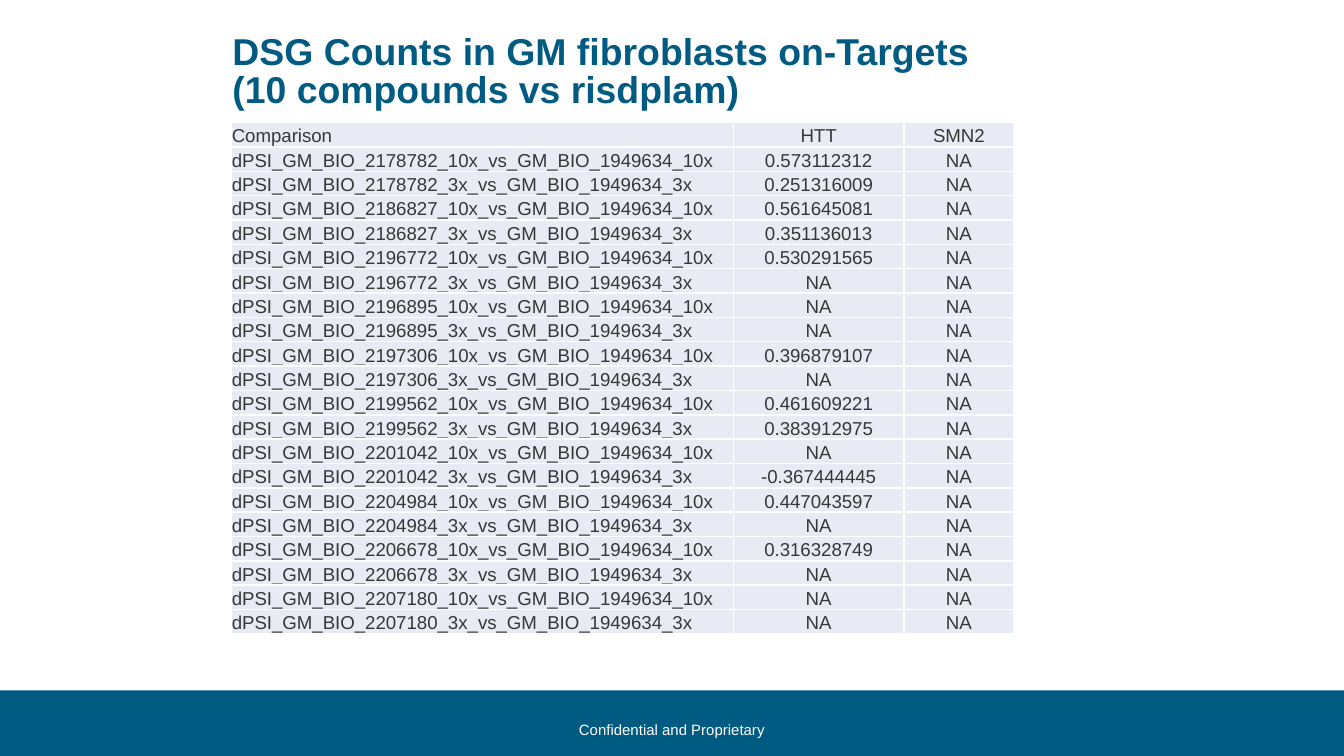
import dataclasses

import pptx
import pptx.dml.color
import pptx.enum.shapes
import pptx.enum.text
import pptx.oxml
import pptx.oxml.ns
import pptx.util

PX = 5715  # EMU per px, 160 px to the inch
ALIGN = pptx.enum.text.PP_ALIGN
ANCHOR = pptx.enum.text.MSO_ANCHOR


@dataclasses.dataclass(frozen=True)
class Theme:
    font: str = "Arial"
    blue: str = "005B82"
    white: str = "FFFFFF"
    ink: str = "363838"
    cell: str = "E8EBF3"
    title_size: int = 20
    table_size: int = 10
    footer_size: int = 8
    border_width: int = 1


THEME = Theme()

TITLE_LINES = ["DSG Counts in GM fibroblasts on-Targets", "(10 compounds vs risdplam)"]
HEADER = ["Comparison", "HTT", "SMN2"]
DOSES = ["10x", "3x"]
REFERENCE = "GM_BIO_1949634"
# HTT value of each compound at each dose
HTT_BY_COMPOUND = {
    "2178782": ["0.573112312", "0.251316009"],
    "2186827": ["0.561645081", "0.351136013"],
    "2196772": ["0.530291565", "NA"],
    "2196895": ["NA", "NA"],
    "2197306": ["0.396879107", "NA"],
    "2199562": ["0.461609221", "0.383912975"],
    "2201042": ["NA", "-0.367444445"],
    "2204984": ["0.447043597", "NA"],
    "2206678": ["0.316328749", "NA"],
    "2207180": ["NA", "NA"],
}


def emu(*lengths):
    return [pptx.util.Emu(round(length * PX)) for length in lengths]


def rgb(color):
    return pptx.dml.color.RGBColor.from_string(color)


def add_run(paragraph, text, size, color, bold=False):
    run = paragraph.add_run()
    run.text = text
    run.font.name = THEME.font
    run.font.size = pptx.util.Pt(size)
    run.font.bold = bold
    run.font.color.rgb = rgb(color)


def set_margins(box, left, top, right, bottom):
    (box.margin_left, box.margin_top,
     box.margin_right, box.margin_bottom) = emu(left, top, right, bottom)


def set_borders(cell):
    properties = cell._tc.get_or_add_tcPr()
    for side in ("lnL", "lnR", "lnT", "lnB"):
        properties.append(pptx.oxml.parse_xml(
            f'<a:{side} {pptx.oxml.ns.nsdecls("a")} w="{pptx.util.Pt(THEME.border_width)}">'
            f'<a:solidFill><a:srgbClr val="{THEME.white}"/></a:solidFill></a:{side}>'))


def comparison_rows():
    return [
        [f"dPSI_GM_BIO_{compound}_{dose}_vs_{REFERENCE}_{dose}", htt, "NA"]
        for compound, values in HTT_BY_COMPOUND.items()
        for dose, htt in zip(DOSES, values)
    ]


def add_footer(slide, left, top, width, height):
    # Full-width band
    band = slide.shapes.add_shape(
        pptx.enum.shapes.MSO_SHAPE.RECTANGLE, *emu(left, top, width, height))
    band.shadow.inherit = False
    band.fill.solid()
    band.fill.fore_color.rgb = rgb(THEME.blue)
    band.line.fill.background()

    # Centred notice
    notice_width = 256
    notice = slide.shapes.add_textbox(
        *emu(left + (width - notice_width) / 2, top + 28, notice_width, 38))
    frame = notice.text_frame
    frame.word_wrap = False
    frame.vertical_anchor = ANCHOR.MIDDLE
    paragraph = frame.paragraphs[0]
    paragraph.alignment = ALIGN.CENTER
    add_run(paragraph, "Confidential and Proprietary", THEME.footer_size, THEME.white)


def add_counts_table(slide, left, top, width, height):
    rows = [HEADER] + comparison_rows()
    table = slide.shapes.add_table(
        len(rows), len(HEADER), *emu(left, top, width, height)).table
    table.first_row = False
    table.horz_banding = False

    # Grid: two fixed value columns, the first takes the rest
    htt_width, smn2_width = 203, 131
    column_widths = emu(width - htt_width - smn2_width, htt_width, smn2_width)
    for column, column_width in zip(table.columns, column_widths):
        column.width = column_width
    for row in table.rows:
        row.height = emu(height / len(rows))[0]

    # Cells
    for row_index, texts in enumerate(rows):
        for column_index, text in enumerate(texts):
            cell = table.cell(row_index, column_index)
            set_margins(cell, 1, 1, 1, 0)
            cell.vertical_anchor = ANCHOR.BOTTOM
            set_borders(cell)
            cell.fill.solid()
            cell.fill.fore_color.rgb = rgb(THEME.cell)
            paragraph = cell.text_frame.paragraphs[0]
            paragraph.alignment = ALIGN.CENTER if column_index else ALIGN.LEFT
            add_run(paragraph, text, THEME.table_size, THEME.ink)


def add_title(slide, left, top, width, height):
    title = slide.shapes.add_textbox(*emu(left, top, width, height))
    frame = title.text_frame
    frame.word_wrap = True
    set_margins(frame, 16, 8, 0, 8)
    paragraph = frame.paragraphs[0]
    paragraph.line_spacing = 0.85
    for index, line in enumerate(TITLE_LINES):
        if index:
            paragraph.add_line_break()
        add_run(paragraph, line, THEME.title_size, THEME.blue, bold=True)


def main():
    presentation = pptx.Presentation()
    presentation.slide_width, presentation.slide_height = emu(1600, 900)
    slide = presentation.slides.add_slide(presentation.slide_layouts[6])
    slide.background.fill.solid()
    slide.background.fill.fore_color.rgb = rgb(THEME.white)

    add_footer(slide, 0, 822, 1600, 78)
    add_counts_table(slide, 275, 146, 932, 609)
    add_title(slide, 261, 34, 968, 109)

    presentation.save("out.pptx")


if __name__ == "__main__":
    main()
